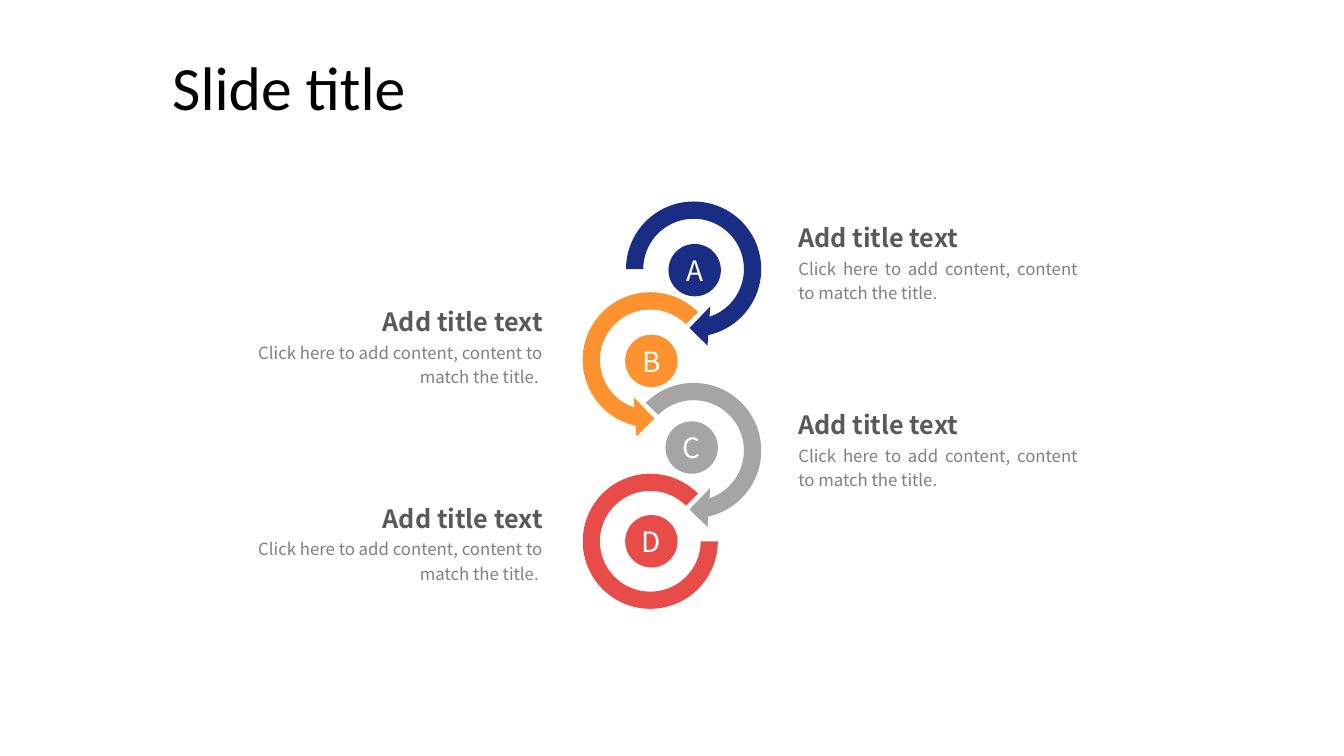
from collections import namedtuple

from pptx import Presentation
from pptx.dml.color import RGBColor
from pptx.enum.shapes import MSO_SHAPE
from pptx.enum.text import MSO_ANCHOR, PP_ALIGN
from pptx.util import Inches, Pt

BODY_FONT = "Noto Sans CJK SC"
Box = namedtuple("Box", "left top width height")
Step = namedtuple("Step", "letter color side caption_top outline size adjustments disc_shift")

# Ring centres: one column per side, evenly spaced rows
COLUMNS = {"left": 6.45, "right": 6.88}
FIRST_ROW, ROW_PITCH = 2.67, 0.9
DISC_SIZE = 0.52
CAPTIONS = {
    "left": (2.29, 3.19, PP_ALIGN.RIGHT),
    "right": (7.82, 2.97, PP_ALIGN.JUSTIFY),
}
STEPS = [
    Step("A", "1A2D85", "right", 2.1, MSO_SHAPE.CIRCULAR_ARROW, 1.56,
         (0.11, 11.42, 45, 108, 0.125), (0.01, 0.01)),
    Step("B", "FE922F", "left", 2.93, MSO_SHAPE.LEFT_CIRCULAR_ARROW, 1.56,
         (0.11, 11.42, 63, 189, 0.125), (0.01, 0.01)),
    Step("C", "A5A5A5", "right", 3.95, MSO_SHAPE.CIRCULAR_ARROW, 1.56,
         (0.11, 11.42, 45, 135, 0.125), (-0.02, -0.03)),
    Step("D", "E84C49", "left", 4.88, MSO_SHAPE.BLOCK_ARC, 1.34,
         (0, 189, 0.127), (0.01, 0)),
]
STACKING = "CDBA"  # back to front


def rgb(value):
    return RGBColor.from_string(value)


def emu(box):
    return [Inches(length) for length in box]


def square(center_x, center_y, size):
    return Box(center_x - size / 2, center_y - size / 2, size, size)


def write(frame, text, size, color, align, font=BODY_FONT, bold=False, spacing=1.0):
    para = frame.paragraphs[0]
    para.alignment = align
    para.line_spacing = spacing
    span = para.add_run()
    span.text = text
    span.font.name = font
    span.font.size = Pt(size)
    span.font.bold = bold
    span.font.color.rgb = rgb(color)


def add_text(page, box, text, size, color, align, anchor=MSO_ANCHOR.TOP, **style):
    frame = page.shapes.add_textbox(*emu(box)).text_frame
    frame.word_wrap = True
    frame.vertical_anchor = anchor
    write(frame, text, size, color, align, **style)


def add_filled(page, outline, box, color):
    shape = page.shapes.add_shape(outline, *emu(box))
    shape.shadow.inherit = False
    shape.fill.solid()
    shape.fill.fore_color.rgb = rgb(color)
    shape.line.fill.background()
    return shape


def add_ring(page, step, center_x, center_y):
    """Draw the curved band and its lettered disc around a centre."""
    band = add_filled(page, step.outline, square(center_x, center_y, step.size), step.color)
    for index, value in enumerate(step.adjustments):
        band.adjustments[index] = value

    shift_x, shift_y = step.disc_shift
    disc_box = square(center_x + shift_x, center_y + shift_y, DISC_SIZE)
    disc = add_filled(page, MSO_SHAPE.OVAL, disc_box, step.color)
    frame = disc.text_frame
    frame.margin_left = frame.margin_right = frame.margin_top = frame.margin_bottom = 0
    frame.word_wrap = False
    frame.vertical_anchor = MSO_ANCHOR.MIDDLE
    write(frame, step.letter, 20, "FFFFFF", PP_ALIGN.CENTER)


def add_caption(page, box, align):
    """Place a heading with its description below it."""
    add_text(page, box._replace(top=box.top + 0.38, height=0.59),
             "Click here to add content, content to match the title. ",
             12, "808080", align, spacing=1.2)
    add_text(page, box._replace(height=0.44), "Add title text",
             18, "595959", align, bold=True, spacing=1.2)


def build_slide(page):
    add_text(page, Box(1.61, 0.4, 10.81, 0.99), "Slide title", 44, "000000",
             PP_ALIGN.LEFT, MSO_ANCHOR.MIDDLE, font="Calibri", spacing=0.9)
    for step in sorted(STEPS, key=lambda item: STACKING.index(item.letter)):
        add_ring(page, step, COLUMNS[step.side], FIRST_ROW + STEPS.index(step) * ROW_PITCH)
    for step in STEPS:
        left, width, align = CAPTIONS[step.side]
        add_caption(page, Box(left, step.caption_top, width, 0.97), align)


def main():
    deck = Presentation()
    deck.slide_width, deck.slide_height = Inches(13.33), Inches(7.5)
    build_slide(deck.slides.add_slide(deck.slide_layouts[6]))
    deck.save("out.pptx")


if __name__ == "__main__":
    main()
